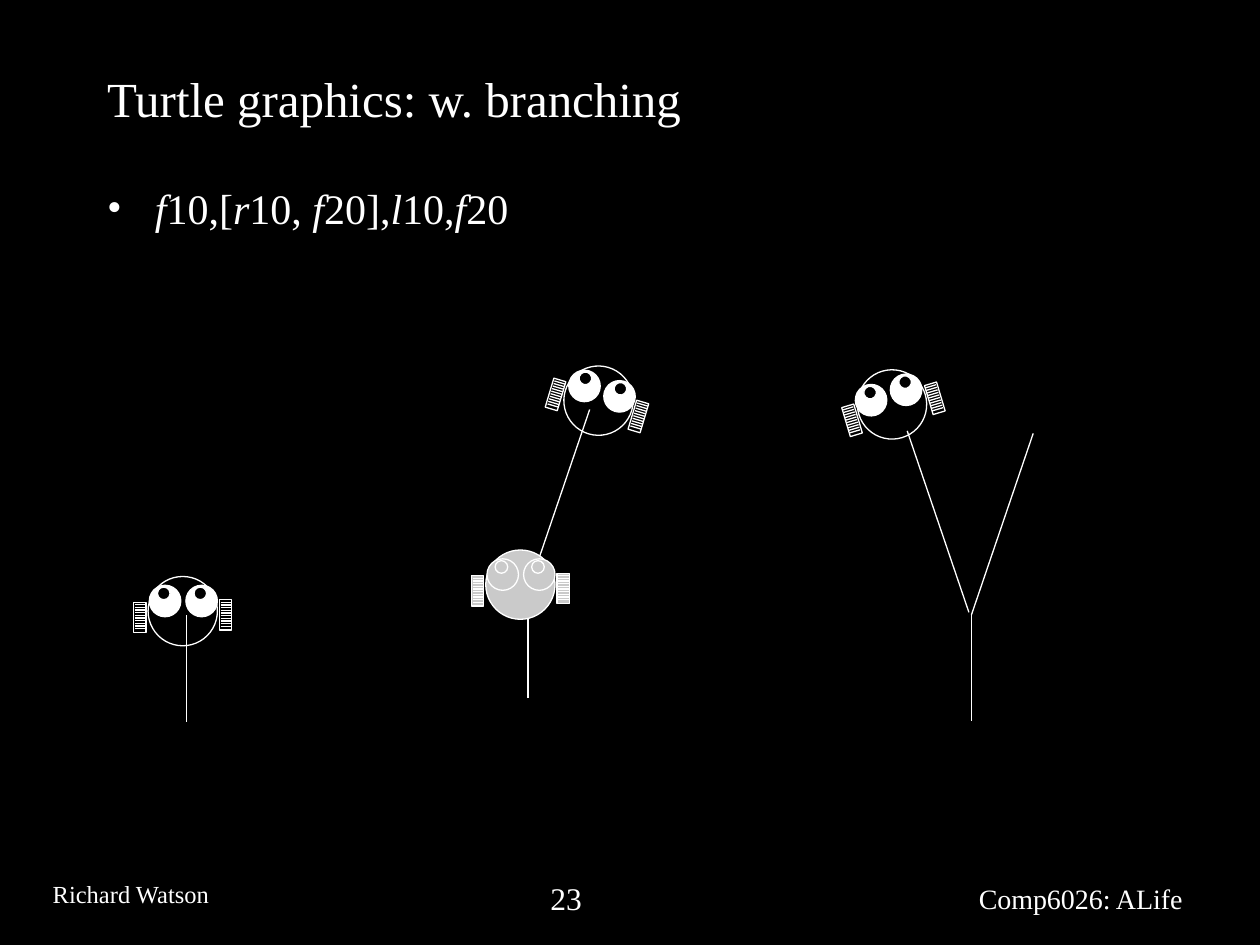
import math
from dataclasses import dataclass

import pptx
import pptx.dml.color
import pptx.enum.shapes
import pptx.enum.text
import pptx.oxml
import pptx.oxml.ns
import pptx.util

OVAL = pptx.enum.shapes.MSO_SHAPE.OVAL
BOX = pptx.enum.shapes.MSO_SHAPE.RECTANGLE
STRAIGHT = pptx.enum.shapes.MSO_CONNECTOR.STRAIGHT
COLUMNS, ROWS = 10, 7.5


@dataclass(frozen=True)
class Theme:
    font: str = "Times New Roman"
    ground: str = "000000"
    ink: str = "FFFFFF"
    ghost: str = "CACACA"
    title_size: int = 28
    body_size: int = 24
    line_width: float = 0.75


def rgb(code):
    return pptx.dml.color.RGBColor.from_string(code)


class TurtleSlide:
    def __init__(self, deck, theme):
        self.theme = theme
        self.column = deck.slide_width / COLUMNS
        self.row = deck.slide_height / ROWS
        self.slide = deck.slides.add_slide(deck.slide_layouts[1])
        self.slide.background.fill.solid()
        self.slide.background.fill.fore_color.rgb = rgb(theme.ground)

    def x(self, columns):
        return round(columns * self.column)

    def y(self, rows):
        return round(rows * self.row)

    def place(self, shape, left, top, width, height):
        shape.left, shape.top = self.x(left), self.y(top)
        shape.width, shape.height = self.x(width), self.y(height)

    def style(self, paragraph, size):
        paragraph.alignment = pptx.enum.text.PP_ALIGN.LEFT
        for run in paragraph.runs:
            run.font.name = self.theme.font
            run.font.size = pptx.util.Pt(size)
            run.font.color.rgb = rgb(self.theme.ink)

    def title(self, words, *area):
        heading = self.slide.shapes.title
        self.place(heading, *area)
        heading.text_frame.text = words
        heading.text_frame.vertical_anchor = pptx.enum.text.MSO_ANCHOR.MIDDLE
        self.style(heading.text_frame.paragraphs[0], self.theme.title_size)

    def program(self, pieces, *area):
        """One bulleted line of (text, italic) pieces."""
        body = self.slide.placeholders[1]
        self.place(body, *area)
        commands = body.text_frame.paragraphs[0]
        for words, italic in pieces:
            run = commands.add_run()
            run.text = words
            run.font.italic = italic
        self.style(commands, self.theme.body_size)
        commands.space_before = pptx.util.Pt(6)
        properties = commands._p.get_or_add_pPr()
        indent = self.x(0.38)
        properties.set("marL", str(indent))
        properties.set("indent", str(-indent))
        namespace = pptx.oxml.ns.nsdecls("a")
        for bullet in (
            f'<a:buClr {namespace}><a:srgbClr val="{self.theme.ink}"/></a:buClr>',
            f'<a:buFont {namespace} typeface="{self.theme.font}"/>',
            f'<a:buChar {namespace} char="•"/>',
        ):
            properties.append(pptx.oxml.parse_xml(bullet))

    def footer(self, words, size, wrap, *area):
        note = self.slide.shapes.add_textbox(0, 0, 0, 0)
        self.place(note, *area)
        note.text_frame.text = words
        note.text_frame.word_wrap = wrap
        self.style(note.text_frame.paragraphs[0], size)

    def line(self, start, end, parent=None):
        shapes = (parent or self.slide).shapes
        stroke = shapes.add_connector(
            STRAIGHT, self.x(start[0]), self.y(start[1]), self.x(end[0]), self.y(end[1]))
        stroke.line.color.rgb = rgb(self.theme.ink)
        stroke.line.width = pptx.util.Pt(self.theme.line_width)
        effects = f'<a:effectLst {pptx.oxml.ns.nsdecls("a")}/>'
        stroke._element.spPr.append(pptx.oxml.parse_xml(effects))

    def outline(self, parent, kind, centre, width, height, angle, fill):
        piece = parent.shapes.add_shape(
            kind, self.x(centre[0] - width / 2), self.y(centre[1] - height / 2),
            self.x(width), self.y(height))
        piece.rotation = angle % 360
        piece.shadow.inherit = False
        piece.line.color.rgb = rgb(self.theme.ink)
        piece.line.width = pptx.util.Pt(self.theme.line_width)
        if fill:
            piece.fill.solid()
            piece.fill.fore_color.rgb = rgb(fill)
        else:
            piece.fill.background()

    def turtle(self, centre, angle=0, mirror=1, ghost=False):
        """A turtle turned by angle; mirror=-1 swaps its sides."""
        group = self.slide.shapes.add_group_shape()
        cos, sin = math.cos(math.radians(angle)), math.sin(math.radians(angle))

        def turned(across, down):
            across *= mirror
            return (centre[0] + across * cos - down * sin,
                    centre[1] + across * sin + down * cos)

        shell, eye, pupil = (
            [self.theme.ghost] * 3 if ghost else [None, self.theme.ink, self.theme.ground])
        self.outline(group, OVAL, centre, 0.55, 0.55, angle, shell)
        # Eyes and pupils
        for across in (-0.14, 0.15):
            self.outline(group, OVAL, turned(across, -0.08), 0.25, 0.25, angle, eye)
            self.outline(group, OVAL, turned(across - 0.01, -0.14), 0.1, 0.1, angle, pupil)
        # Wheels, each with ten treads
        for across, down in ((-0.34, 0.05), (0.34, 0.03)):
            self.outline(group, BOX, turned(across, down), 0.1, 0.24, angle, shell)
            for tread in range(10):
                level = down - 0.1 + tread * 0.19 / 9
                self.line(turned(across - 0.04, level), turned(across + 0.05, level), group)


def main():
    deck = pptx.Presentation()
    deck.slide_width, deck.slide_height = pptx.util.Inches(10), pptx.util.Inches(7.5)
    page = TurtleSlide(deck, Theme())

    # Footer
    page.footer("Comp6026: ALife", 16, True, 7.67, 6.95, 2.5, 0.36)
    page.footer("Richard Watson", 14, False, 0.32, 6.93, 1.46, 0.34)
    page.footer("23", 18, False, 4.27, 6.93, 1.24, 0.4)

    # Heading and turtle program
    page.title("Turtle graphics: w. branching", 0.75, 0.41, 8.5, 0.73)
    page.program(
        [("f", True), ("10,[", False), ("r", True), ("10, ", False), ("f", True),
         ("20],", False), ("l", True), ("10,", False), ("f", True), ("20", False)],
        0.75, 1.4, 8.5, 5.52)

    # Step 1: forward
    page.turtle((1.45, 4.85))
    page.line((1.48, 5.73), (1.48, 4.88))

    # Step 2: right branch, with the remembered position in grey
    page.turtle((4.75, 3.18), angle=16.6)
    page.line((4.19, 5.54), (4.19, 4.69))
    page.line((4.19, 4.69), (4.68, 3.25))
    page.turtle((4.13, 4.64), ghost=True)

    # Step 3: left branch
    page.turtle((7.08, 3.21), angle=-16.6, mirror=-1)
    page.line((7.71, 5.72), (7.71, 4.87))
    page.line((7.71, 4.88), (8.2, 3.44))
    page.line((7.69, 4.86), (7.2, 3.42))

    deck.save("out.pptx")


if __name__ == "__main__":
    main()
